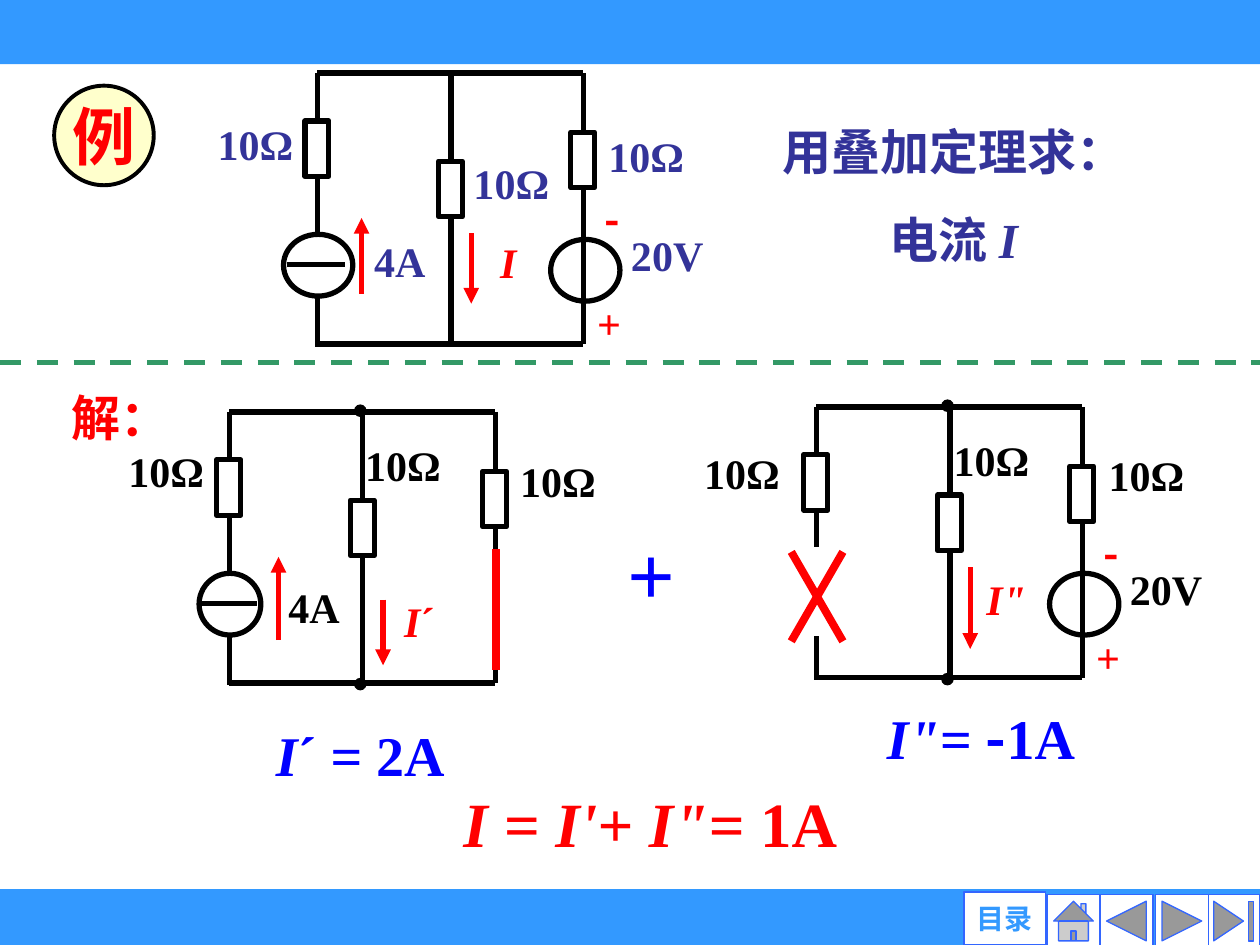
import dataclasses

import lxml.etree
import pptx
import pptx.dml.color
import pptx.enum.dml
import pptx.enum.shapes
import pptx.enum.text
import pptx.oxml.ns
import pptx.util

SHAPE = pptx.enum.shapes.MSO_SHAPE
CENTER = pptx.enum.text.PP_ALIGN.CENTER
LEFT = pptx.enum.text.PP_ALIGN.LEFT
PIXELS_PER_INCH = 100


@dataclasses.dataclass(frozen=True)
class Theme:
    """Colours, fonts, type sizes and line widths of the slide."""
    band: str = "3399FF"
    button_line: str = "3366FF"
    paper: str = "FFFFFF"
    badge: str = "FFFFCC"
    ink: str = "000000"
    accent: str = "FF0000"
    question: str = "333399"
    result: str = "0000FF"
    divider: str = "339966"
    serif: str = "Times New Roman"
    sans: str = "Arial"
    chinese: str = "Noto Sans CJK SC"
    menu_size: int = 16
    label_size: int = 24
    question_size: int = 28
    result_size: int = 32
    title_size: int = 36
    plus_size: int = 48
    wire: float = 3
    heavy: float = 4.5
    badge_line: float = 2.25
    button_width: float = 0.75


THEME = Theme()


def px(length):
    """Turn a length in px into EMU."""
    return pptx.util.Emu(length * pptx.util.Inches(1) // PIXELS_PER_INCH)


def rgb(color):
    """Turn an RRGGBB string into a colour."""
    return pptx.dml.color.RGBColor.from_string(color)


def add_shape(shapes, kind, box, fill, line=None, width=THEME.wire):
    """Add a preset shape with a flat fill and an optional outline."""
    shape = shapes.add_shape(kind, *map(px, box))
    shape.shadow.inherit = False
    shape.fill.solid()
    shape.fill.fore_color.rgb = rgb(fill)
    if line:
        shape.line.color.rgb = rgb(line)
        shape.line.width = pptx.util.Pt(width)
    else:
        shape.line.fill.background()
    return shape


def add_line(shapes, start, end, color=THEME.ink, width=THEME.wire, arrow=False):
    """Add a straight line, with an arrowhead at its end on request."""
    connector = shapes.add_connector(
        pptx.enum.shapes.MSO_CONNECTOR.STRAIGHT, *map(px, start + end))
    connector.line.color.rgb = rgb(color)
    connector.line.width = pptx.util.Pt(width)
    properties = connector._element.spPr
    lxml.etree.SubElement(properties, pptx.oxml.ns.qn("a:effectLst"))
    if arrow:
        outline = connector.line._get_or_add_ln()
        lxml.etree.SubElement(outline, pptx.oxml.ns.qn("a:tailEnd"), type="triangle")
    return connector


def write(frame, paragraphs, size, color, font=THEME.serif, align=LEFT, spacing=None):
    """Fill a text frame; each run is (text, italic) or (text, italic, font)."""
    for index, runs in enumerate(paragraphs):
        paragraph = frame.add_paragraph() if index else frame.paragraphs[0]
        paragraph.alignment = align
        if spacing:
            paragraph.line_spacing = spacing
        paragraph.font.name = font
        paragraph.font.size = pptx.util.Pt(size)
        paragraph.font.bold = True
        paragraph.font.color.rgb = rgb(color)
        for text, italic, *run_font in runs:
            run = paragraph.add_run()
            run.text = text
            if italic:
                run.font.italic = True
            if run_font:
                run.font.name = run_font[0]


def write_centred(shape, text, size, color, font):
    """Write one unwrapped line in the middle of a shape."""
    frame = shape.text_frame
    frame.margin_left = frame.margin_right = frame.margin_top = frame.margin_bottom = 0
    frame.vertical_anchor = pptx.enum.text.MSO_ANCHOR.MIDDLE
    frame.word_wrap = False
    write(frame, [[(text, False)]], size, color, font, CENTER)


def add_text(shapes, box, paragraphs, size, color, wrap=True, spacing=1.5, **style):
    """Add a text box that grows with its text."""
    frame = shapes.add_textbox(*map(px, box)).text_frame
    frame.word_wrap = wrap
    frame.auto_size = pptx.enum.text.MSO_AUTO_SIZE.SHAPE_TO_FIT_TEXT
    write(frame, paragraphs, size, color, spacing=spacing, **style)


def add_bands(shapes, width):
    """Draw the header and footer bands."""
    add_shape(shapes, SHAPE.RECTANGLE, (0, 0, width, 51), THEME.band)
    add_shape(shapes, SHAPE.RECTANGLE, (0, 708, width, 42), THEME.band, THEME.band)


def add_navigation(shapes, left, top):
    """Draw the row of navigation buttons."""
    buttons = [
        (SHAPE.ACTION_BUTTON_END, 193),
        (SHAPE.ACTION_BUTTON_FORWARD_OR_NEXT, 152),
        (SHAPE.ACTION_BUTTON_BACK_OR_PREVIOUS, 108),
        (SHAPE.ACTION_BUTTON_HOME, 66),
    ]
    for kind, offset in buttons:
        add_shape(shapes, kind, (left + offset, top + 2, 42, 42),
                  THEME.paper, THEME.button_line, THEME.button_width)
    menu = add_shape(shapes, SHAPE.ACTION_BUTTON_CUSTOM, (left, top, 65, 42),
                     THEME.paper, THEME.button_line, THEME.button_width)
    write_centred(menu, "目录", THEME.menu_size, THEME.band, THEME.sans)


def add_frame(shapes, left, top, label_places, color, left_wires=((0, 217),)):
    """Draw the three branches of a circuit with their resistors and labels."""
    right, bottom = left + 211, top + 215
    middle = left + 106
    add_line(shapes, (middle, top), (middle, bottom - 2))
    for y in (top, bottom):
        add_line(shapes, (left, y), (right, y))
    for start, end in left_wires:
        add_line(shapes, (left, top + start), (left, top + end))
    add_line(shapes, (right, top), (right, bottom))
    for x, y in ((left, 38), (middle, 70), (right, 47)):
        add_shape(shapes, SHAPE.RECTANGLE, (x - 10, top + y, 19, 44), THEME.paper, THEME.ink)
    for x, y in label_places:
        add_text(shapes, (left + x, top + y, 93, 50), [[("10Ω", False)]],
                 THEME.label_size, color, spacing=None)


def add_nodes(shapes, left, top):
    """Mark the two nodes of a circuit."""
    for y in (-6, 211):
        add_shape(shapes, SHAPE.OVAL, (left + 99, top + y, 10, 10), THEME.ink)


def add_current_source(shapes, left, top, width, arrow, label, color):
    """Draw the 4A source on the left branch."""
    add_shape(shapes, SHAPE.OVAL, (left - width // 2, top + 128, width, 49),
              THEME.paper, THEME.ink)
    add_line(shapes, (left - 24, top + 152), (left + 22, top + 152))
    x, start, end = arrow
    add_line(shapes, (left + x, top + start), (left + x, top + end), THEME.accent, arrow=True)
    add_text(shapes, (left + label[0], top + label[1], 61, 70), [[("4A", False)]],
             THEME.label_size, color, wrap=False)


def add_voltage_source(shapes, left, top, color):
    """Draw the 20V source behind the right branch, with its signs."""
    add_shape(shapes, SHAPE.OVAL, (left + 185, top + 132, 55, 49), THEME.paper, THEME.ink)
    for sign, x, y, width, font in (("+", 212, 153, 39, THEME.serif),
                                    ("-", 218, 71, 37, THEME.chinese)):
        add_text(shapes, (left + x, top + y, width, 70), [[(sign, False)]],
                 THEME.label_size, THEME.accent, wrap=False, font=font)
    add_text(shapes, (left + 239, top + 99, 93, 70), [[("20V", False)]],
             THEME.label_size, color)


def add_branch_current(shapes, left, top, start, end, label, runs):
    """Draw the arrow and the name of the current in the middle branch."""
    add_line(shapes, (left + 122, top + start), (left + 122, top + end),
             THEME.accent, arrow=True)
    add_text(shapes, (left + label[0], top + label[1], 81, 50), [runs],
             THEME.label_size, THEME.accent, spacing=None)


def add_full_circuit(shapes, left, top):
    """Draw the circuit with both sources."""
    add_voltage_source(shapes, left, top, THEME.question)
    add_frame(shapes, left, top, ((-89, 31), (114, 62), (221, 41)), THEME.question)
    add_branch_current(shapes, left, top, 127, 183, (135, 125), [("I", True)])
    add_current_source(shapes, left, top, 55, (35, 175, 115), (35, 104), THEME.question)


def add_current_circuit(shapes, left, top):
    """Draw the circuit with the voltage source shorted."""
    add_frame(shapes, left, top, ((-90, 22), (98, 17), (221, 30)), THEME.ink)
    add_branch_current(shapes, left, top, 149, 201, (129, 141), [("I", True), ("´", False)])
    add_nodes(shapes, left, top)
    add_current_source(shapes, left, top, 49, (39, 181, 115), (37, 110), THEME.ink)
    add_line(shapes, (left + 212, top + 109), (left + 212, top + 205),
             THEME.accent, THEME.heavy)


def add_voltage_circuit(shapes, left, top):
    """Draw the circuit with the current source opened."""
    add_voltage_source(shapes, left, top, THEME.ink)
    add_frame(shapes, left, top, ((-99, 27), (99, 17), (222, 29)), THEME.ink,
              ((0, 111), (182, 217)))
    add_branch_current(shapes, left, top, 127, 192, (125, 127), [("I\"", True)])
    add_nodes(shapes, left, top)
    for start, end in ((21, -20), (-20, 21)):
        add_line(shapes, (left + start, top + 115), (left + end, top + 186),
                 THEME.accent, THEME.heavy)


def add_question(shapes, left, top):
    """Place the example badge and the task."""
    badge = add_shape(shapes, SHAPE.OVAL, (left, top, 79, 79),
                      THEME.badge, THEME.ink, THEME.badge_line)
    write_centred(badge, "例", THEME.title_size, THEME.accent, THEME.serif)
    add_text(shapes, (left + 567, top, 294, 150),
             [[("用叠加定理求：", False)], [("电流 ", False), ("I", True)]],
             THEME.question_size, THEME.question, wrap=False, align=CENTER)


def add_solution(shapes, left, top, width):
    """Place the divider, the solution mark and the results."""
    divider = add_line(shapes, (left, top), (left + width, top), THEME.divider)
    divider.line.dash_style = pptx.enum.dml.MSO_LINE.DASH
    texts = [
        ((47, -9, 98, 80), [("解：", False)], THEME.question_size, THEME.accent, False),
        ((488, 81, 58, 130), [("+", False)], THEME.plus_size, THEME.result, False),
        ((209, 252, 221, 90), [("I", True), ("´", False), (" = ", True), ("2A", False)],
         THEME.result_size, THEME.result, True),
        ((694, 239, 175, 90), [("I\"= ", True), ("-", False, THEME.chinese), ("1A", False)],
         THEME.result_size, THEME.result, False),
        ((358, 300, 344, 100), [("I = I'+ I\"= ", True), ("1A", False)],
         THEME.title_size, THEME.accent, True),
    ]
    for (x, y, *extent), runs, size, color, wrap in texts:
        add_text(shapes, (left + x, top + y, *extent), [runs], size, color, wrap)


def main():
    """Build the slide and save it."""
    presentation = pptx.Presentation()
    presentation.slide_width, presentation.slide_height = px(1000), px(750)
    shapes = presentation.slides.add_slide(presentation.slide_layouts[6]).shapes
    add_bands(shapes, 1000)
    add_navigation(shapes, 765, 708)
    add_question(shapes, 43, 68)
    for add_circuit, left, top in ((add_full_circuit, 252, 58),
                                   (add_current_circuit, 182, 327),
                                   (add_voltage_circuit, 648, 323)):
        add_circuit(shapes.add_group_shape().shapes, left, top)
    add_solution(shapes, 0, 288, 1000)
    presentation.save("out.pptx")


if __name__ == "__main__":
    main()
